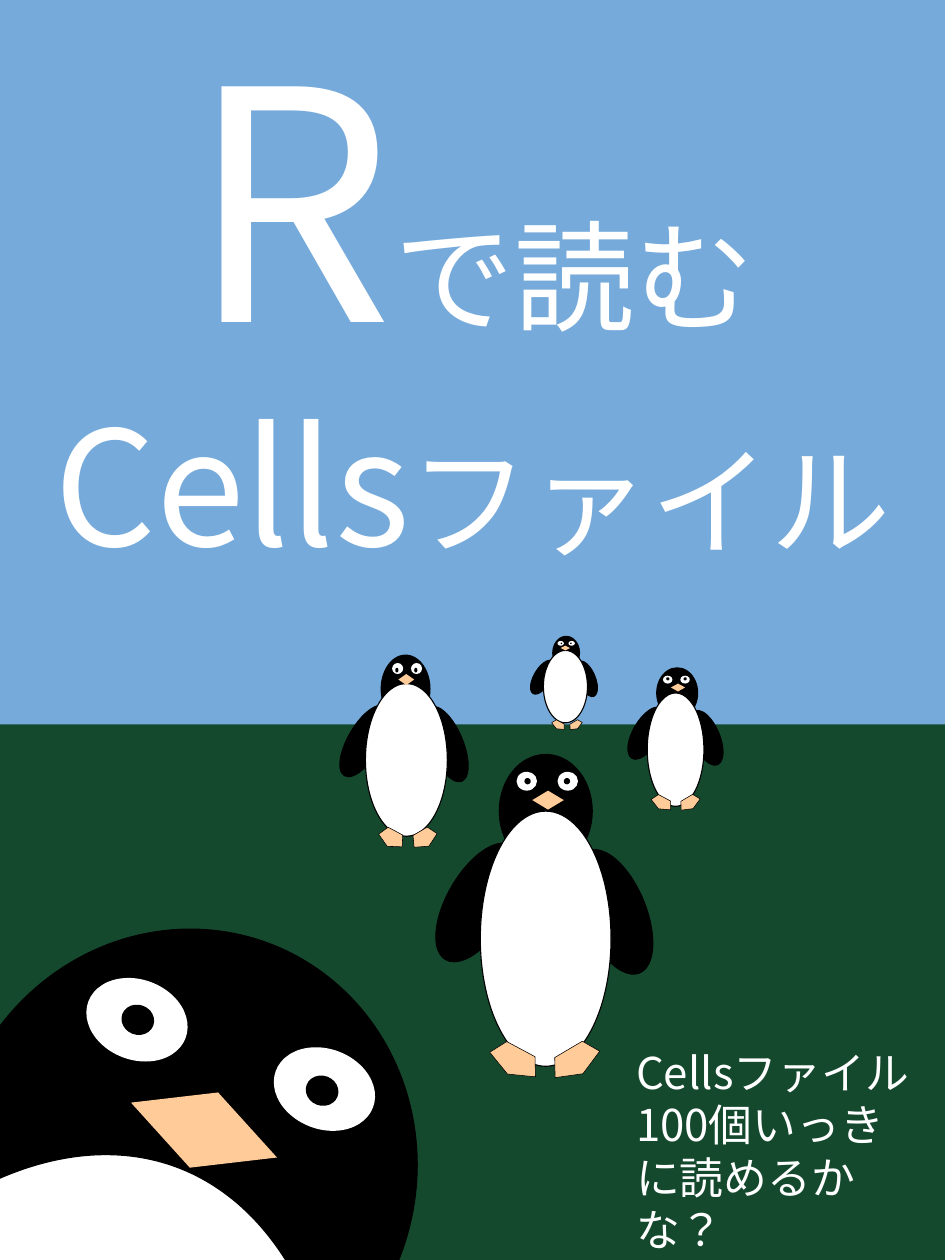
"""Build a book cover with five penguins under a large title."""
from lxml.etree import SubElement
from pptx import Presentation
from pptx.dml.color import RGBColor
from pptx.enum.lang import MSO_LANGUAGE_ID
from pptx.enum.shapes import MSO_SHAPE
from pptx.enum.text import MSO_AUTO_SIZE, PP_ALIGN
from pptx.oxml.ns import qn
from pptx.util import Inches, Pt

FONT = "Noto Sans CJK JP"
WHITE = RGBColor(0xFF, 0xFF, 0xFF)
BLACK = RGBColor(0, 0, 0)
GRASS = RGBColor(0x15, 0x49, 0x2E)
SKY = RGBColor(0x75, 0xAA, 0xDB)
BEAK = RGBColor(0xFF, 0xCC, 0x99)

OVAL, FOOT, DIAMOND = MSO_SHAPE.OVAL, MSO_SHAPE.REGULAR_PENTAGON, MSO_SHAPE.DIAMOND
PARTS = {
    "head": (OVAL, BLACK, 0.5, [0]),
    "wings": (OVAL, BLACK, 0.5, [30.1, 337.4]),
    "body": (OVAL, WHITE, 0.5, [0]),
    "eyes": (OVAL, WHITE, 0, [0, 0]),
    "pupils": (OVAL, BLACK, 0, [0, 0]),
    "feet": (FOOT, BEAK, 0.25, [208.2, 149.4]),
    "beak": (DIAMOND, BEAK, 0, [0]),
}

MIDDLE = {
    "head": ((0.59, 0.72), [(3.17, 4.79)]),
    "wings": ((0.4, 0.84), [(2.84, 5.31), (3.7, 5.37)]),
    "body": ((0.83, 1.62), [(3.05, 5.15)]),
    "eyes": ((0.13, 0.12), [(3.28, 4.9), (3.54, 4.9)]),
    "pupils": ((0.04, 0.04), [(3.33, 4.94), (3.58, 4.94)]),
    "feet": ((0.33, 0.18), [(3.1, 6.65), (3.49, 6.65)]),
    "beak": ((0.2, 0.12), [(3.38, 5.02)]),
}
LEFT = {
    "head": ((0.31, 0.43), [(2.42, 4.16)]),
    "wings": ((0.21, 0.51), [(2.21, 4.45), (2.73, 4.47)]),
    "body": ((0.52, 0.97), [(2.32, 4.34)]),
    "eyes": ((0.07, 0.07), [(2.49, 4.21), (2.61, 4.21)]),
    "pupils": ((0.02, 0.03), [(2.51, 4.24), (2.63, 4.24)]),
    "feet": ((0.17, 0.11), [(2.4, 5.27), (2.61, 5.27)]),
    "beak": ((0.1, 0.07), [(2.53, 4.28)]),
}
RIGHT = {
    "head": ((0.26, 0.32), [(4.17, 4.24)]),
    "wings": ((0.17, 0.37), [(4.02, 4.47), (4.4, 4.5)]),
    "body": ((0.36, 0.72), [(4.11, 4.4)]),
    "eyes": ((0.06, 0.05), [(4.21, 4.29), (4.32, 4.29)]),
    "pupils": ((0.02, 0.02), [(4.23, 4.3), (4.34, 4.3)]),
    "feet": ((0.14, 0.08), [(4.13, 5.06), (4.31, 5.06)]),
    "beak": ((0.09, 0.05), [(4.26, 4.34)]),
}
NEAR = {
    "head": ((2.96, 3.11), [(-0.32, 5.89)]),
    "body": ((4.13, 6.93), [(-2.16, 7.19)]),
    "eyes": ((0.66, 0.51), [(0.54, 6.22), (1.73, 6.66)]),
    "pupils": ((0.21, 0.19), [(0.77, 6.38), (1.94, 6.83)]),
    "beak": ((0.99, 0.51), [(0.8, 6.92)]),
}
FAR = {
    "head": ((0.17, 0.21), [(3.51, 4.04)]),
    "wings": ((0.11, 0.24), [(3.39, 4.18), (3.67, 4.19)]),
    "body": ((0.28, 0.46), [(3.45, 4.13)]),
    "eyes": ((0.04, 0.03), [(3.54, 4.07), (3.61, 4.07)]),
    "pupils": ((0.01, 0.01), [(3.56, 4.08), (3.62, 4.08)]),
    "feet": ((0.09, 0.05), [(3.5, 4.58), (3.61, 4.58)]),
    "beak": ((0.06, 0.03), [(3.56, 4.1)]),
}


def add_form(shapes, kind, place, size, color, outline=0, turn=0):
    """Add a filled preset shape, outlined in black when a width is given."""
    form = shapes.add_shape(kind, *map(Inches, place + size))
    form.shadow.inherit = False
    form.rotation = turn
    form.fill.solid()
    form.fill.fore_color.rgb = color
    if outline:
        form.line.color.rgb = BLACK
        form.line.width = Pt(outline)
    else:
        form.line.fill.background()


def add_penguin(page, penguin, lean=0):
    """Add one grouped penguin, every part turned by its lean."""
    group = page.shapes.add_group_shape()
    for name, (size, places) in penguin.items():
        kind, color, outline, turns = PARTS[name]
        for place, turn in zip(places, turns):
            add_form(group.shapes, kind, place, size, color, outline, turn + lean)


def add_text(page, place, size, lines, align):
    """Add a white text box; each line is a list of wording and point size."""
    box = page.shapes.add_textbox(*map(Inches, place + size))
    frame = box.text_frame
    frame.word_wrap = True
    frame.auto_size = MSO_AUTO_SIZE.SHAPE_TO_FIT_TEXT
    for index, line in enumerate(lines):
        para = frame.add_paragraph() if index else frame.paragraphs[0]
        para.alignment = align
        for wording, points in line:
            span = para.add_run()
            span.text = wording
            span.font.size = Pt(points)
            span.font.color.rgb = WHITE
            span.font.name = FONT
            span.font.language_id = MSO_LANGUAGE_ID.JAPANESE
            SubElement(span._r.get_or_add_rPr(), qn("a:ea"), typeface=FONT)


def main():
    """Compose the cover and save it."""
    deck = Presentation()
    deck.slide_width, deck.slide_height = Inches(6), Inches(8)
    page = deck.slides.add_slide(deck.slide_layouts[6])
    add_form(page.shapes, MSO_SHAPE.RECTANGLE, (0, 4.56), (6, 3.44), GRASS)
    add_form(page.shapes, MSO_SHAPE.RECTANGLE, (0, -0.02), (6, 4.62), SKY)
    title = [[("R", 147), ("で読む", 55)], [("Cells", 73), ("ファイル", 55)]]
    add_text(page, (0, -0.04), (6, 3.77), title, PP_ALIGN.CENTER)
    for penguin in (MIDDLE, LEFT, RIGHT):
        add_penguin(page, penguin)
    add_penguin(page, NEAR, lean=20.6)
    add_penguin(page, FAR)
    question = [[("Cellsファイル100個いっきに読めるかな？", 20)]]
    add_text(page, (3.94, 6.59), (1.97, 1.1), question, PP_ALIGN.LEFT)
    deck.save("out.pptx")


main()
